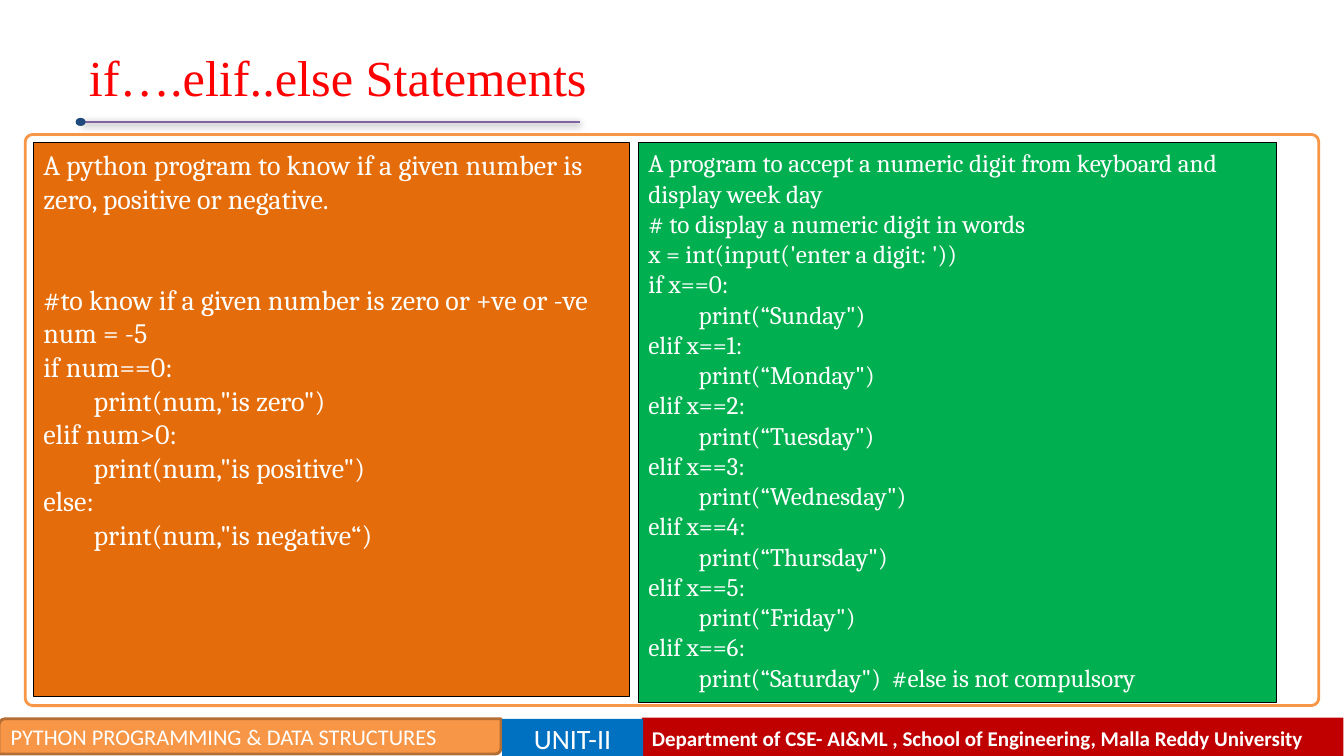
from lxml import etree
from pptx import Presentation
from pptx.dml.color import RGBColor
from pptx.enum.shapes import MSO_CONNECTOR, MSO_SHAPE
from pptx.enum.text import MSO_ANCHOR, PP_ALIGN
from pptx.oxml import parse_xml
from pptx.oxml.ns import nsdecls, qn
from pptx.util import Pt

WHITE = RGBColor(0xFF, 0xFF, 0xFF)
BLACK = RGBColor(0, 0, 0)
RED = RGBColor(0xFF, 0, 0)
CRIMSON = RGBColor(0xC0, 0, 0)
ORANGE = RGBColor(0xF7, 0x96, 0x46)
BROWN = RGBColor(0xB4, 0x6D, 0x33)
DARK_ORANGE = RGBColor(0xE4, 0x6C, 0x0A)
GREEN = RGBColor(0, 0xB0, 0x50)
BLUE = RGBColor(0, 0x70, 0xC0)
NAVY = RGBColor(0x1F, 0x49, 0x7D)
PURPLE = RGBColor(0x80, 0x64, 0xA2)

# Content
TITLE = "if….elif..else Statements"
SIGN_TASK = "A python program to know if a given number is zero, positive or negative."
SIGN_CODE = [
    "#to know if a given number is zero or +ve or -ve",
    "num = -5",
    "if num==0:",
    '\tprint(num,"is zero")',
    "elif num>0:",
    '\tprint(num,"is positive")',
    "else:",
    '\tprint(num,"is negative“)',
]
DAY_INTRO = [
    "A program to accept a numeric digit from keyboard and display week day",
    "# to display a numeric digit in words",
    "x = int(input('enter a digit: '))",
]
DAYS = ["Sunday", "Monday", "Tuesday", "Wednesday", "Thursday", "Friday", "Saturday"]
DAY_NOTE = "  #else is not compulsory"

# Footer: text, box, shape, fill, line, size, bold, alignment
FOOTER = [
    ("Department of CSE- AI&ML , School of Engineering, Malla Reddy University",
     (458.6, 512.6, 501.1, 28.8), MSO_SHAPE.RECTANGLE, CRIMSON, None, 15, True, PP_ALIGN.LEFT),
    ("PYTHON PROGRAMMING & DATA STRUCTURES",
     (-0.7, 513.4, 358.6, 25.2), MSO_SHAPE.ROUND_2_DIAG_RECTANGLE, ORANGE, BROWN, 16, False,
     PP_ALIGN.LEFT),
    ("UNIT-II",
     (358.6, 513.4, 100.8, 27.4), MSO_SHAPE.RECTANGLE, BLUE, None, 20, False, PP_ALIGN.CENTER),
]

prs = Presentation()
prs.slide_width, prs.slide_height = Pt(960), Pt(540)
s = prs.slides.add_slide(prs.slide_layouts[6])


def add_box(kind, box, fill=None, line=None, width=2):
    sp = s.shapes.add_shape(kind, *(Pt(v) for v in box))
    sp.shadow.inherit = False
    if fill is None:
        sp.fill.background()
    else:
        sp.fill.solid()
        sp.fill.fore_color.rgb = fill
    if line is None:
        sp.line.fill.background()
    else:
        sp.line.color.rgb = line
        sp.line.width = Pt(width)
    return sp


def write(sp, lines, font, size, color=WHITE, bold=False, align=PP_ALIGN.LEFT,
          anchor=MSO_ANCHOR.MIDDLE):
    tf = sp.text_frame
    tf.word_wrap = True
    tf.vertical_anchor = anchor
    tf.text = "\n".join(lines)
    for p in tf.paragraphs:
        p.alignment = align
        for r in p.runs:
            r.font.name, r.font.size, r.font.bold = font, Pt(size), bold
            r.font.color.rgb = color
    return tf


# Footer bar
for text, box, kind, fill, line, size, bold, align in FOOTER:
    write(add_box(kind, box, fill, line), [text], "Calibri", size, bold=bold, align=align)

# Title
title = s.shapes.add_textbox(Pt(23.8), Pt(30.2), Pt(426.2), Pt(48.2))
tf = write(title, [TITLE], "Times New Roman", 36, RED, align=PP_ALIGN.CENTER)
tf.margin_left = Pt(16.2)

# Underline with soft shadow and dot
rule = s.shapes.add_connector(MSO_CONNECTOR.STRAIGHT, Pt(58.3), Pt(87.1), Pt(414), Pt(87.1))
rule.line.color.rgb = PURPLE
rule.line.width = Pt(2)
effects = etree.SubElement(rule._element.spPr, qn("a:effectLst"))
effects.append(parse_xml(
    f'<a:outerShdw {nsdecls("a")} blurRad="{Pt(5)}" dist="{Pt(1.6)}" dir="5400000" '
    'rotWithShape="0"><a:srgbClr val="000000"><a:alpha val="38000"/></a:srgbClr>'
    '</a:outerShdw>'))
add_box(MSO_SHAPE.OVAL, (54, 84.2, 7.2, 5.8), NAVY)

# Frame around both programs
frame = add_box(MSO_SHAPE.ROUNDED_RECTANGLE, (18, 96, 924, 408), line=ORANGE)
frame.adjustments[0] = 0.013

# Program panels
day_code = list(DAY_INTRO)
for number, day in enumerate(DAYS):
    day_code += [f"{'elif' if number else 'if'} x=={number}:", f'\tprint(“{day}")']
day_code[-1] += DAY_NOTE

sign_panel = add_box(MSO_SHAPE.RECTANGLE, (23.8, 102, 426.2, 395.3), DARK_ORANGE, BLACK, 0.75)
tf = write(sign_panel, [SIGN_TASK] + SIGN_CODE, "Cambria", 20, anchor=MSO_ANCHOR.TOP)
tf.paragraphs[1].space_before = Pt(48)

day_panel = add_box(MSO_SHAPE.RECTANGLE, (456, 102, 456, 399.6), GREEN, BLACK, 0.75)
write(day_panel, day_code, "Cambria", 18, anchor=MSO_ANCHOR.TOP)

prs.save("out.pptx")
